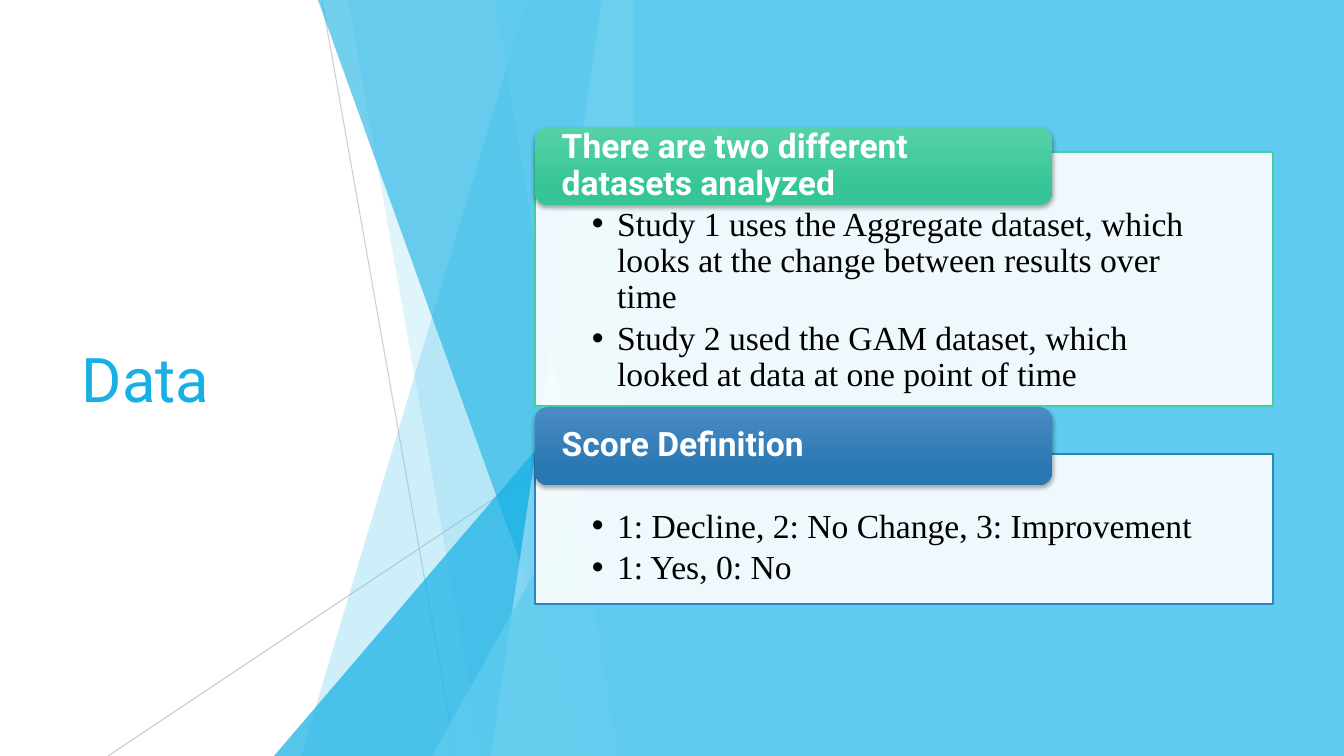
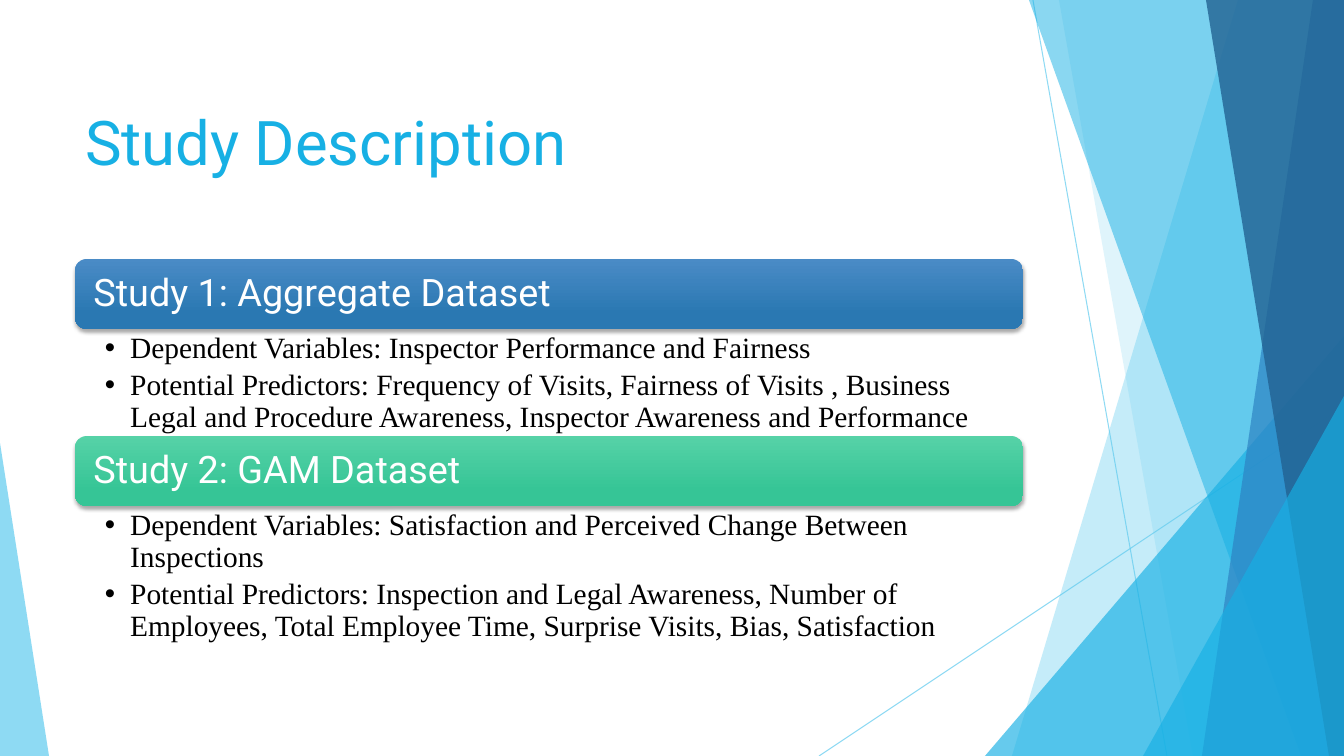
import pptx
import pptx.util
import pptx.dml.color
import pptx.enum.shapes
import pptx.enum.text
import pptx.oxml
import pptx.oxml.ns
import lxml.etree

RGB = pptx.dml.color.RGBColor
Pt = pptx.util.Pt
KIND = pptx.enum.shapes.MSO_SHAPE
LINE = pptx.enum.shapes.MSO_CONNECTOR.STRAIGHT
ANCHOR = pptx.enum.text.MSO_ANCHOR
ALIGN = pptx.enum.text.PP_ALIGN.LEFT
FIXED = pptx.enum.text.MSO_AUTO_SIZE.NONE
qn = pptx.oxml.ns.qn

WIDE, HIGH = 1344, 756
SCALE = 12192000 / WIDE

WHITE = RGB(0xFF, 0xFF, 0xFF)
BLACK = RGB(0, 0, 0)
GRAY = RGB(0xBF, 0xBF, 0xBF)
SKY = RGB(0x5F, 0xCB, 0xEF)
CYAN = RGB(0x17, 0xB0, 0xE4)
PALE = RGB(0x9F, 0xE0, 0xF5)
BLUE = RGB(0x2E, 0x83, 0xC3)
NAVY = RGB(0x22, 0x62, 0x92)
GREEN = RGB(0x42, 0xD0, 0xA2)
BLUES = (RGB(0x4A, 0x8B, 0xC6), RGB(0x2A, 0x78, 0xB2))
GREENS = (RGB(0x56, 0xD2, 0xA7), RGB(0x36, 0xC5, 0x96))

HEAD, BODY = "Roboto", "Times New Roman"
TITLE = {"name": HEAD, "size": Pt(44)}
TAB = {"name": HEAD, "size": Pt(24), "bold": True}
BAR = {"name": HEAD, "size": Pt(27), "bold": False}
NOTE = {"name": BODY, "size": Pt(24)}
LIST = {"name": BODY, "size": Pt(21)}

# Facets, measured leftwards from the right edge of the band
LINES = [((311, 0), (177, HIGH)), ((0, 406), (525, HIGH))]
FACETS = [("slant", 106, 332), ("slant", 285, 151), ("peak", 359, 336),
          ("slant", 315, 43), ("slant", 31, 142), ("slant", 138, 15),
          ("peak", 201, 396)]
LIGHT = {"lines": [(GRAY, 75), (GRAY, 80)],
         "fills": [(SKY, 30), (SKY, 20), (CYAN, 72), (CYAN, 60),
                   (PALE, 70), (SKY, 65), (SKY, 80)]}
DEEP = {"lines": [(SKY, 70), (SKY, 70)],
        "fills": [(SKY, 36), (SKY, 20), (CYAN, 66), (CYAN, 50),
                  (BLUE, 70), (NAVY, 80), (CYAN, 66)]}


def px(*nums):
    return [pptx.util.Emu(round(n * SCALE)) for n in nums]


def put(item, vals):
    for name, val in vals.items():
        setattr(item, name, val)


def fade(shape, alpha):
    color = next(shape.element.spPr.iter(qn("a:srgbClr")))
    lxml.etree.SubElement(color, qn("a:alpha"), val=str(alpha * 1000))


def paint(shape, color, alpha=100):
    shape.shadow.inherit = False
    shape.fill.solid()
    shape.fill.fore_color.rgb = color
    if alpha < 100:
        fade(shape, alpha)
    shape.line.fill.background()


def block(slide, kind, box, color, alpha=100):
    shape = slide.shapes.add_shape(kind, *px(*box))
    paint(shape, color, alpha)
    return shape


def rule(slide, start, end, color, alpha):
    line = slide.shapes.add_connector(LINE, *px(*start, *end))
    line.line.color.rgb = color
    line.line.width = Pt(0.75)
    fade(line, alpha)
    lxml.etree.SubElement(line.element.spPr, qn("a:effectLst"))


def band(slide, right, tone):
    for (start, end), look in zip(LINES, tone["lines"]):
        rule(slide, (right - start[0], start[1]),
             (right - end[0], end[1]), *look)
    for (form, a, b), look in zip(FACETS, tone["fills"]):
        if form == "peak":
            shape = block(slide, KIND.ISOSCELES_TRIANGLE,
                          (right - a, b, a, HIGH - b), *look)
            shape.adjustments[0] = 1
        else:
            pen = slide.shapes.build_freeform(right - a, 0, SCALE)
            pen.add_line_segments([(right, 0), (right, HIGH),
                                   (right - b, HIGH)])
            paint(pen.convert_to_shape(), *look)


def write(shape, texts, font, color, pads, anchor, after=0, bullet=False):
    frame = shape.text_frame
    left, top, right, foot = px(*pads)
    put(frame, {"word_wrap": True, "auto_size": FIXED,
                "vertical_anchor": anchor, "margin_left": left,
                "margin_top": top, "margin_right": right,
                "margin_bottom": foot})
    for i, text in enumerate(texts):
        para = frame.add_paragraph() if i else frame.paragraphs[0]
        put(para, {"text": text, "alignment": ALIGN,
                   "line_spacing": 0.9, "space_after": Pt(after)})
        put(para.font, font)
        para.font.color.rgb = color
        if bullet:
            props = para._p.get_or_add_pPr()
            props.set("marL", "228600")
            props.set("indent", "-228600")
            lxml.etree.SubElement(props, qn("a:buFont"), typeface="Arial")
            lxml.etree.SubElement(props, qn("a:buChar"), char="•")
            # Character defaults follow the bullet in schema order
            props.append(props.find(qn("a:defRPr")))


def label(slide, box, text, shades, font, pads):
    shape = block(slide, KIND.ROUNDED_RECTANGLE, box, shades[0])
    shape.fill.gradient()
    shape.fill.gradient_angle = 270
    for stop, color, place in zip(shape.fill.gradient_stops, shades,
                                  (0, 0.78)):
        stop.color.rgb = color
        stop.position = place
    effects = shape.element.spPr.find(qn("a:effectLst"))
    cast = lxml.etree.SubElement(effects, qn("a:outerShdw"), blurRad="38100",
                                 dist="25400", dir="5400000", rotWithShape="0")
    tint = lxml.etree.SubElement(cast, qn("a:srgbClr"), val=str(BLACK))
    lxml.etree.SubElement(tint, qn("a:alpha"), val="35000")
    write(shape, [text], font, WHITE, pads, ANCHOR.MIDDLE)


def card(slide, box, lift, text, notes, shades, edge):
    """Panel with a tab that rises above its top edge."""
    left, top, wide, _ = box
    panel = block(slide, KIND.RECTANGLE, box, WHITE, 90)
    panel.line.color.rgb = edge
    panel.line.width = Pt(1)
    write(panel, notes, NOTE, BLACK, (57, 55, 57, 19), ANCHOR.TOP, 4, True)
    label(slide, (left, top - lift, round(wide * 0.7), 78), text, shades,
          TAB, (23, 0, 23, 0))


def study(slide, box, text, notes, shades):
    """Full-width bar above a bullet list."""
    left, top, wide, high = box
    bar = 70
    label(slide, (left, top, wide, bar), text, shades, BAR, (15, 11, 15, 11))
    area = slide.shapes.add_textbox(*px(left, top + bar, wide, high - bar))
    write(area, notes, LIST, BLACK, (30, 4, 21, 4), ANCHOR.TOP, 4, True)


def head(slide, box, text):
    title = slide.shapes.title
    left, top, wide, high = px(*box)
    put(title, {"left": left, "top": top, "width": wide, "height": high})
    write(title, [text], TITLE, CYAN, (10, 5, 10, 5), ANCHOR.MIDDLE)
    title.text_frame.paragraphs[0].line_spacing = 1.0


def data(slide):
    edge = 633
    band(slide, edge, LIGHT)
    head(slide, (72, 152, 391, 452), "Data")
    block(slide, KIND.RECTANGLE, (edge, 0, WIDE - edge, HIGH), SKY)
    card(slide, (535, 454, 738, 150), 47, "Score Definition",
         ["1: Decline, 2: No Change, 3: Improvement", "1: Yes, 0: No"],
         BLUES, BLUE)
    card(slide, (535, 152, 738, 254), 25,
         "There are two different datasets analyzed",
         ["Study 1 uses the Aggregate dataset, which looks at the change "
          "between results over time",
          "Study 2 used the GAM dataset, which looked at data at one point "
          "of time"], GREENS, GREEN)


def studies(slide):
    band(slide, WIDE, DEEP)
    corner = block(slide, KIND.ISOSCELES_TRIANGLE, (0, 443, 49, 313), SKY, 70)
    corner.adjustments[0] = 0
    head(slide, (75, 68, 948, 145), "Study Description")
    study(slide, (75, 259, 948, 177), "Study 1: Aggregate Dataset",
          ["Dependent Variables: Inspector Performance and Fairness",
           "Potential Predictors: Frequency of Visits, Fairness of Visits , "
           "Business Legal and Procedure Awareness, Inspector Awareness and "
           "Performance"], BLUES)
    study(slide, (75, 436, 948, 209), "Study 2: GAM Dataset",
          ["Dependent Variables: Satisfaction and Perceived Change Between "
           "Inspections",
           "Potential Predictors: Inspection and Legal Awareness, Number of "
           "Employees, Total Employee Time, Surprise Visits, Bias, "
           "Satisfaction"], GREENS)


deck = pptx.Presentation()
deck.slide_width, deck.slide_height = px(WIDE, HIGH)
for build in (data, studies):
    build(deck.slides.add_slide(deck.slide_layouts[5]))
deck.save("out.pptx")
